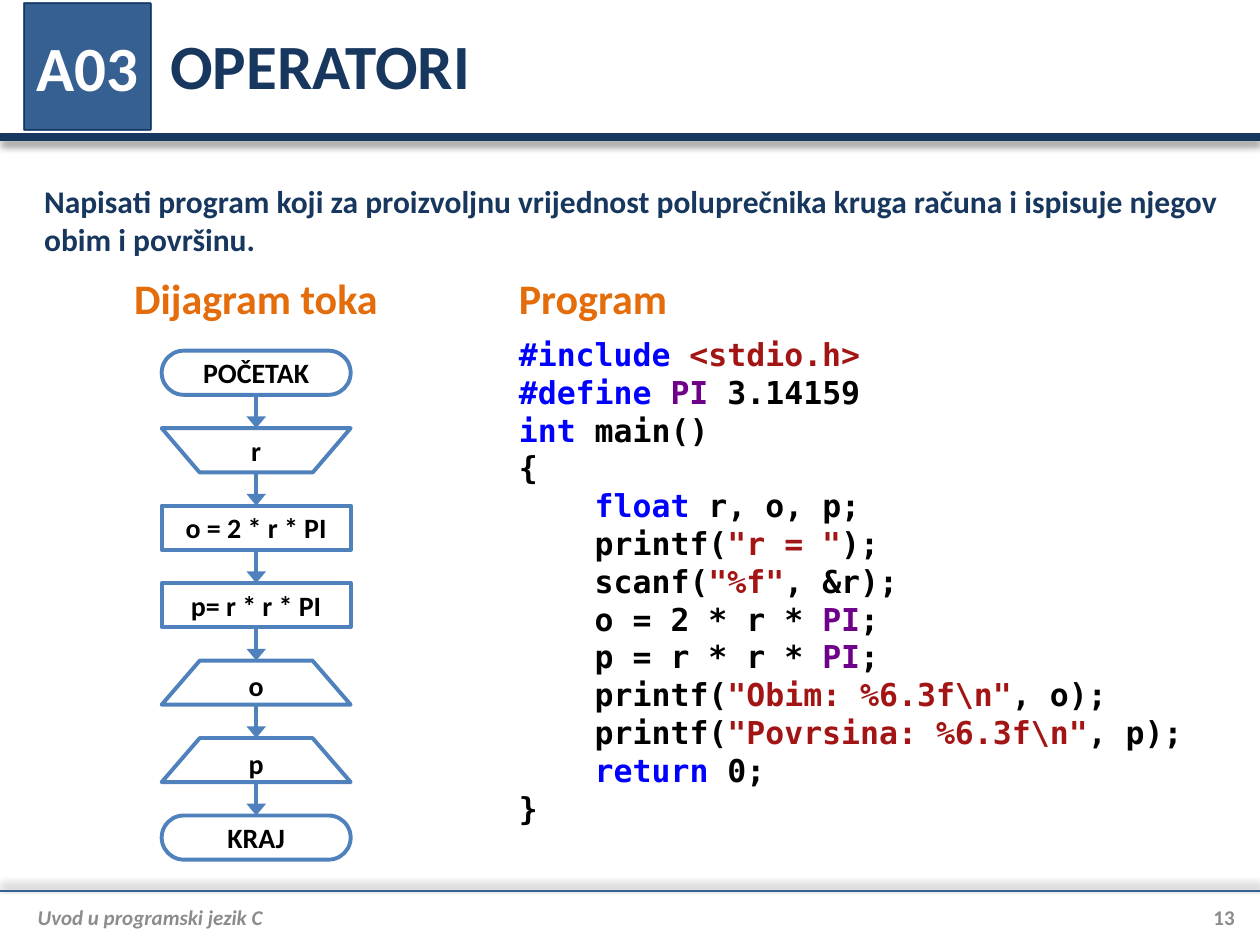
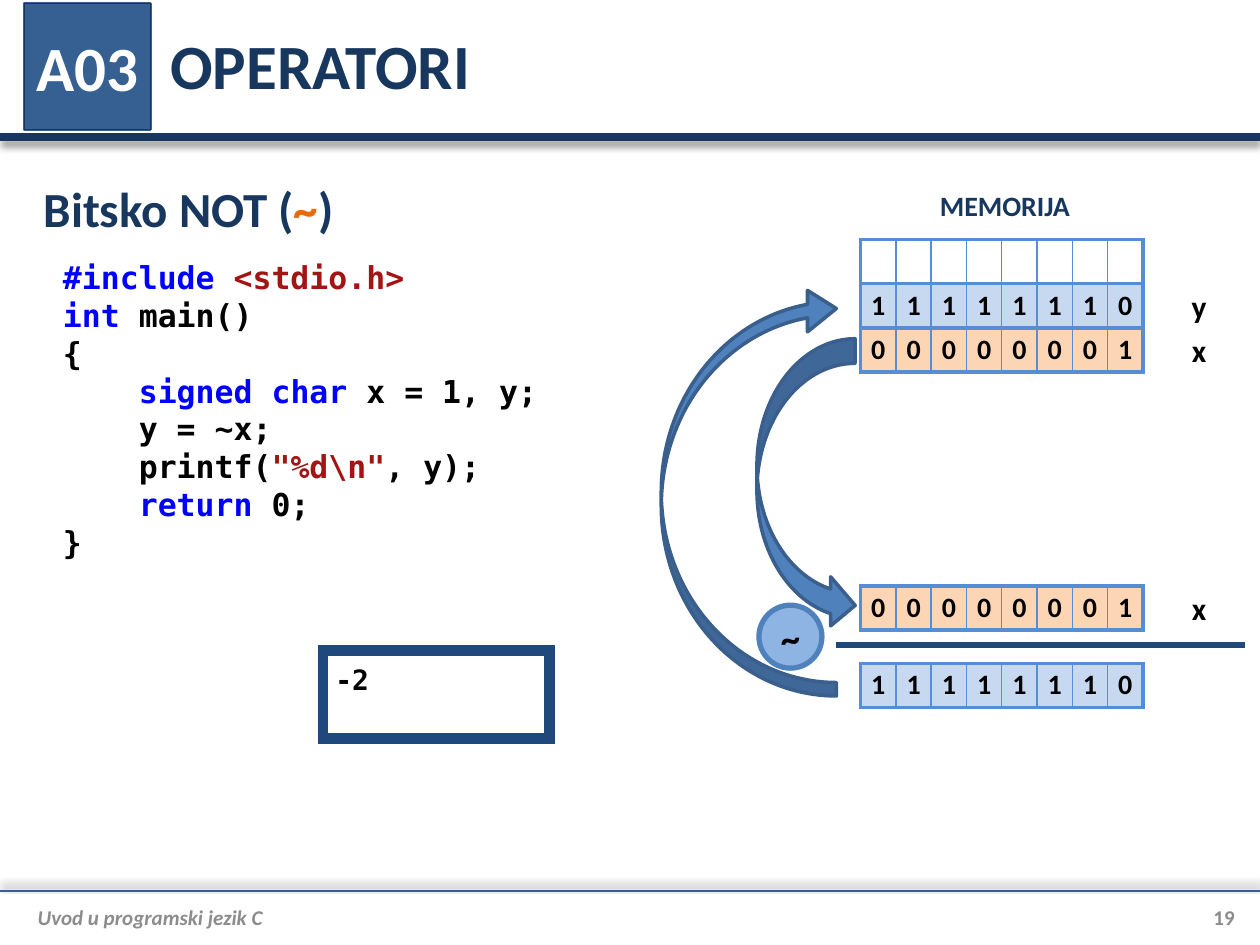
from dataclasses import dataclass
from itertools import pairwise

from lxml import etree
from pptx import Presentation
from pptx.dml.color import RGBColor
from pptx.enum.shapes import MSO_CONNECTOR, MSO_SHAPE
from pptx.enum.text import MSO_ANCHOR, PP_ALIGN
from pptx.oxml.ns import qn
from pptx.util import Cm, Pt

LEFT, CENTER, RIGHT = PP_ALIGN.LEFT, PP_ALIGN.CENTER, PP_ALIGN.RIGHT
TOP, MIDDLE = MSO_ANCHOR.TOP, MSO_ANCHOR.MIDDLE
STRAIGHT = MSO_CONNECTOR.STRAIGHT
RECTANGLE, ROUNDED, OVAL = MSO_SHAPE.RECTANGLE, MSO_SHAPE.ROUNDED_RECTANGLE, MSO_SHAPE.OVAL
INPUT, OUTPUT = MSO_SHAPE.FLOWCHART_MANUAL_OPERATION, MSO_SHAPE.TRAPEZOID
CURVED_RIGHT, CURVED_LEFT = MSO_SHAPE.CURVED_RIGHT_ARROW, MSO_SHAPE.CURVED_LEFT_ARROW
PLAIN_TABLE = "{2D5ABB26-0587-4C30-8999-92F81FD0307C}"


@dataclass(frozen=True)
class Theme:
    sans: str = "Calibri"
    mono: str = "DejaVu Sans Mono"
    title_size: float = 36
    topic_size: float = 28
    heading_size: float = 24
    operator_size: float = 22
    body_size: float = 18
    label_size: float = 16
    footer_size: float = 12
    white: str = "FFFFFF"
    black: str = "000000"
    grey: str = "8C8C8C"
    navy: str = "17375E"
    dark_blue: str = "1F497D"
    badge: str = "376092"
    blue: str = "4F81BD"
    blue_edge: str = "3A5F8C"
    operator: str = "8EB4E3"
    grid: str = "558ED5"
    operand: str = "FCD5B5"
    result: str = "C6D9F1"
    orange: str = "E46C0A"
    keyword: str = "0000FF"
    string: str = "A31515"
    macro: str = "6F008A"


THEME = Theme()


@dataclass(frozen=True)
class Box:
    left: float
    top: float
    width: float
    height: float

    def inner(self, left, top, width, height):
        return Box(self.left + left, self.top + top, width, height)

    def lengths(self):
        return Cm(self.left), Cm(self.top), Cm(self.width), Cm(self.height)


PAGE = Box(0, 0, 25.4, 19.05)
KEYWORDS = {"#include", "#define", "int", "float", "signed", "char", "return"}
TIGHT = (0, 0, 0, 0)

CIRCLE_CODE = r'''#include| |<stdio.h>
#define| |PI| 3.14159
int| main()
{
    float| r, o, p;
    printf(|"r = "|);
    scanf(|"%f"|, &r);
    o = 2 * r * |PI|;
    p = r * r * |PI|;
    printf(|"Obim: %6.3f\n"|, o);
    printf(|"Povrsina: %6.3f\n"|, p);
    return| 0;
}'''

NOT_CODE = r'''#include| |<stdio.h>
int| main()
{
    signed| |char| x = 1, y;
    y = ~x;
    printf(|"%d\n"|, y);
    return| 0;
}'''

FLOW_STEPS = [
    (ROUNDED, "POČETAK", 0.5),
    (INPUT, "r", None),
    (RECTANGLE, "o = 2 * r * PI", None),
    (RECTANGLE, "p= r * r * PI", None),
    (OUTPUT, "o", 0.865),
    (OUTPUT, "p", 0.865),
    (ROUNDED, "KRAJ", 0.5),
]


def rgb(color):
    return RGBColor.from_string(color)


def style_para(para, size, color, font=THEME.sans, align=LEFT, italic=False):
    para.alignment = align
    para.font.name, para.font.size = font, Pt(size)
    para.font.bold, para.font.italic = True, italic
    para.font.color.rgb = rgb(color)


def write(shape, lines, size, color, anchor=MIDDLE, insets=None, **style):
    frame = shape.text_frame
    frame.word_wrap = True
    frame.vertical_anchor = anchor
    if insets is not None:
        frame.margin_left, frame.margin_top, frame.margin_right, frame.margin_bottom = map(Cm, insets)
    for index, line in enumerate(lines):
        para = frame.add_paragraph() if index else frame.paragraphs[0]
        style_para(para, size, color, **style)
        for text, span_color in ([(line, None)] if isinstance(line, str) else line):
            span = para.add_run()
            span.text = text
            if span_color:
                span.font.color.rgb = rgb(span_color)


def add_text(page, box, lines, size, color, **options):
    write(page.shapes.add_textbox(*box.lengths()), lines, size, color, **options)


def add_figure(page, kind, box, fill, edge, weight, adjustments=()):
    shape = page.shapes.add_shape(kind, *box.lengths())
    shape.shadow.inherit = False
    shape.fill.solid()
    shape.fill.fore_color.rgb = rgb(fill)
    shape.line.color.rgb = rgb(edge)
    shape.line.width = Pt(weight)
    for index, value in enumerate(adjustments):
        shape.adjustments[index] = value
    return shape


def add_line(page, start, end, color, weight, arrow=False, shadow_angle=None):
    line = page.shapes.add_connector(STRAIGHT, *map(Cm, (*start, *end)))
    line.line.color.rgb = rgb(color)
    line.line.width = Pt(weight)
    if arrow:
        etree.SubElement(line.line._get_or_add_ln(), qn("a:tailEnd"), type="triangle", w="lg", len="med")
    effects = etree.SubElement(line._element.spPr, qn("a:effectLst"))
    if shadow_angle is not None:
        shadow = etree.SubElement(effects, qn("a:outerShdw"), blurRad=str(Pt(4)), dist=str(Pt(3)),
                                  dir=str(shadow_angle * 60000), rotWithShape="0")
        tint = etree.SubElement(shadow, qn("a:srgbClr"), val=THEME.black)
        etree.SubElement(tint, qn("a:alpha"), val="40000")


def header(page, box):
    bottom = box.top + box.height
    add_line(page, (box.left, bottom), (box.left + box.width, bottom), THEME.navy, 4.5, shadow_angle=90)
    badge_box = box.inner(0.5, 0.07, 2.54, 2.54)
    add_figure(page, RECTANGLE, badge_box, THEME.blue, THEME.blue_edge, 2)
    badge = add_figure(page, RECTANGLE, badge_box, THEME.badge, THEME.navy, 0.75)
    write(badge, ["A03"], THEME.title_size, THEME.white, align=CENTER, insets=TIGHT)
    title = page.shapes.title
    title.left, title.top, title.width, title.height = box.inner(3.18, 0.03, 21.72, 2.54).lengths()
    write(title, ["OPERATORI"], THEME.title_size, THEME.navy)


def footer(page, box, number):
    add_line(page, (box.left, box.top), (box.left + box.width, box.top), THEME.badge, 1.5, shadow_angle=270)
    add_text(page, box.inner(0.51, 0.09, 23.11, 0.89), ["Uvod u programski jezik C"],
             THEME.footer_size, THEME.grey, italic=True, insets=(0.25, 0, 0, 0))
    add_text(page, box.inner(23.62, 0.09, 1.27, 0.89), [str(number)],
             THEME.footer_size, THEME.grey, align=RIGHT, insets=TIGHT)


def token_color(token):
    word = token.strip()
    if word in KEYWORDS:
        return THEME.keyword
    if word == "PI":
        return THEME.macro
    return THEME.string if word.startswith(('"', "<")) else None


def code_listing(page, box, code):
    lines = [[(token, token_color(token)) for token in line.split("|")] for line in code.splitlines()]
    add_text(page, box, lines, THEME.body_size, THEME.black, font=THEME.mono, anchor=TOP)


def flowchart(page, box):
    node_height = 0.89
    pitch = (box.height - node_height) / (len(FLOW_STEPS) - 1)
    nodes = [box.inner(0, index * pitch, box.width, node_height) for index in range(len(FLOW_STEPS))]
    for node, (kind, text, adjustment) in zip(nodes, FLOW_STEPS):
        adjustments = () if adjustment is None else (adjustment,)
        shape = add_figure(page, kind, node, THEME.white, THEME.blue, 2.25, adjustments)
        write(shape, [text], THEME.label_size, THEME.black, align=CENTER, insets=TIGHT)
    middle = box.left + box.width / 2
    for above, below in pairwise(nodes):
        add_line(page, (middle, above.top + node_height), (middle, below.top), THEME.blue, 2.25, arrow=True)


def border_cell(cell, first, last):
    properties = cell._tc.get_or_add_tcPr()
    weights = {"a:lnL": 2.25 if first else 1, "a:lnR": 2.25 if last else 1, "a:lnT": 2.25, "a:lnB": 2.25}
    for tag, weight in weights.items():
        edge = etree.SubElement(properties, qn(tag), w=str(Pt(weight)))
        fill = etree.SubElement(edge, qn("a:solidFill"))
        etree.SubElement(fill, qn("a:srgbClr"), val=THEME.grid)


def bit_table(page, box, bits="", fill=None, rows=1, bordered=True):
    columns = 8
    table = page.shapes.add_table(rows, columns, *box.lengths()).table
    table.first_row = table.horz_banding = False
    table._tbl.tblPr.find(qn("a:tableStyleId")).text = PLAIN_TABLE
    for column in table.columns:
        column.width = Cm(box.width / columns)
    for row in table.rows:
        row.height = Cm(box.height / rows)
        for index, cell in enumerate(row.cells):
            if bordered:
                border_cell(cell, index == 0, index == columns - 1)
            if fill:
                cell.fill.solid()
                cell.fill.fore_color.rgb = rgb(fill)
            else:
                cell.fill.background()
            cell.vertical_anchor = MIDDLE
            cell.margin_left = cell.margin_right = cell.margin_top = cell.margin_bottom = 0
            para = cell.text_frame.paragraphs[0]
            style_para(para, THEME.label_size, THEME.black, align=CENTER)
            if bits:
                para.add_run().text = bits[index]


def memory_diagram(page, box):
    row = 0.89
    x_bits, y_bits = "00000001", "11111110"

    def bit_box(top, rows=1):
        return box.inner(4.01, top, 5.69, row * rows)

    add_text(page, box.inner(5.03, 0, 3.78, 0.94), ["MEMORIJA"], THEME.label_size, THEME.navy,
             align=CENTER, anchor=TOP)
    bit_table(page, bit_box(1.15, 3), rows=3)
    for top, bits, fill in ((2.93, x_bits, THEME.operand), (2.04, y_bits, THEME.result)):
        bit_table(page, bit_box(top), fill=fill)
        bit_table(page, bit_box(top), bits, bordered=False)
    bit_table(page, bit_box(8.13), x_bits, THEME.operand)
    for name, top in (("y", 2.04), ("x", 2.92), ("x", 8.13)):
        add_text(page, box.inner(9.82, top, 2.03, row), [name], THEME.body_size, THEME.black, align=CENTER)
    add_figure(page, CURVED_RIGHT, box.inner(1.92, 3.15, 1.98, 5.87), THEME.blue, THEME.blue_edge, 2)
    operator = add_figure(page, OVAL, box.inner(1.96, 8.52, 1.27, 1.27), THEME.operator, THEME.blue, 3)
    write(operator, ["~"], THEME.operator_size, THEME.black, align=CENTER, insets=TIGHT)
    line_top = box.top + 9.32
    add_line(page, (box.left + 3.52, line_top), (box.left + 11.76, line_top), THEME.dark_blue, 3)
    bit_table(page, bit_box(9.69), y_bits, THEME.result)
    store = add_figure(page, CURVED_LEFT, box.inner(-0.01, 2.12, 3.53, 8.23), THEME.blue, THEME.blue_edge, 2,
                       (0.077, 0.237, 0.165))
    store.rotation = 180


def console(page, box, output):
    screen = add_figure(page, RECTANGLE, box, THEME.white, THEME.dark_blue, 6)
    etree.SubElement(screen.line._get_or_add_ln(), qn("a:miter"), lim="800000")
    write(screen, [output], THEME.label_size, THEME.black, font=THEME.mono, anchor=TOP, insets=(0.25,) * 4)


def new_page(deck, number):
    page = deck.slides.add_slide(deck.slide_layouts[5])
    header(page, PAGE.inner(0, 0, PAGE.width, 2.77))
    footer(page, PAGE.inner(0, 17.96, PAGE.width, 1.09), number)
    return page


def circle_page(deck, box):
    page = new_page(deck, 13)
    task = ("Napisati program koji za proizvoljnu vrijednost poluprečnika kruga "
            "računa i ispisuje njegov obim i površinu.")
    add_text(page, box.inner(0.64, 3.55, 24.38, 1.8), [task], THEME.body_size, THEME.navy, anchor=TOP)
    add_text(page, box.inner(2.36, 5.36, 5.6, 1.27), ["Dijagram toka"], THEME.heading_size, THEME.orange,
             align=CENTER)
    add_text(page, box.inner(10.21, 5.36, 3.8, 1.27), ["Program"], THEME.heading_size, THEME.orange)
    flowchart(page, box.inner(3.26, 7.07, 3.81, 10.26))
    code_listing(page, box.inner(10.21, 6.63, 14.76, 10.26), CIRCLE_CODE)


def not_page(deck, box):
    page = new_page(deck, 19)
    topic = [("Bitsko NOT (", None), ("~", THEME.orange), (")", None)]
    add_text(page, box.inner(0.63, 3.56, 22.53, 1.27), [topic], THEME.topic_size, THEME.navy)
    code_listing(page, box.inner(1.02, 5.08, 12.7, 6.4), NOT_CODE)
    console(page, box.inner(6.51, 13.11, 4.57, 1.78), "-2")
    memory_diagram(page, box.inner(13.34, 3.68, 11.86, 10.57))


def main():
    deck = Presentation()
    deck.slide_width, deck.slide_height = Cm(PAGE.width), Cm(PAGE.height)
    circle_page(deck, PAGE)
    not_page(deck, PAGE)
    deck.save("out.pptx")


if __name__ == "__main__":
    main()
